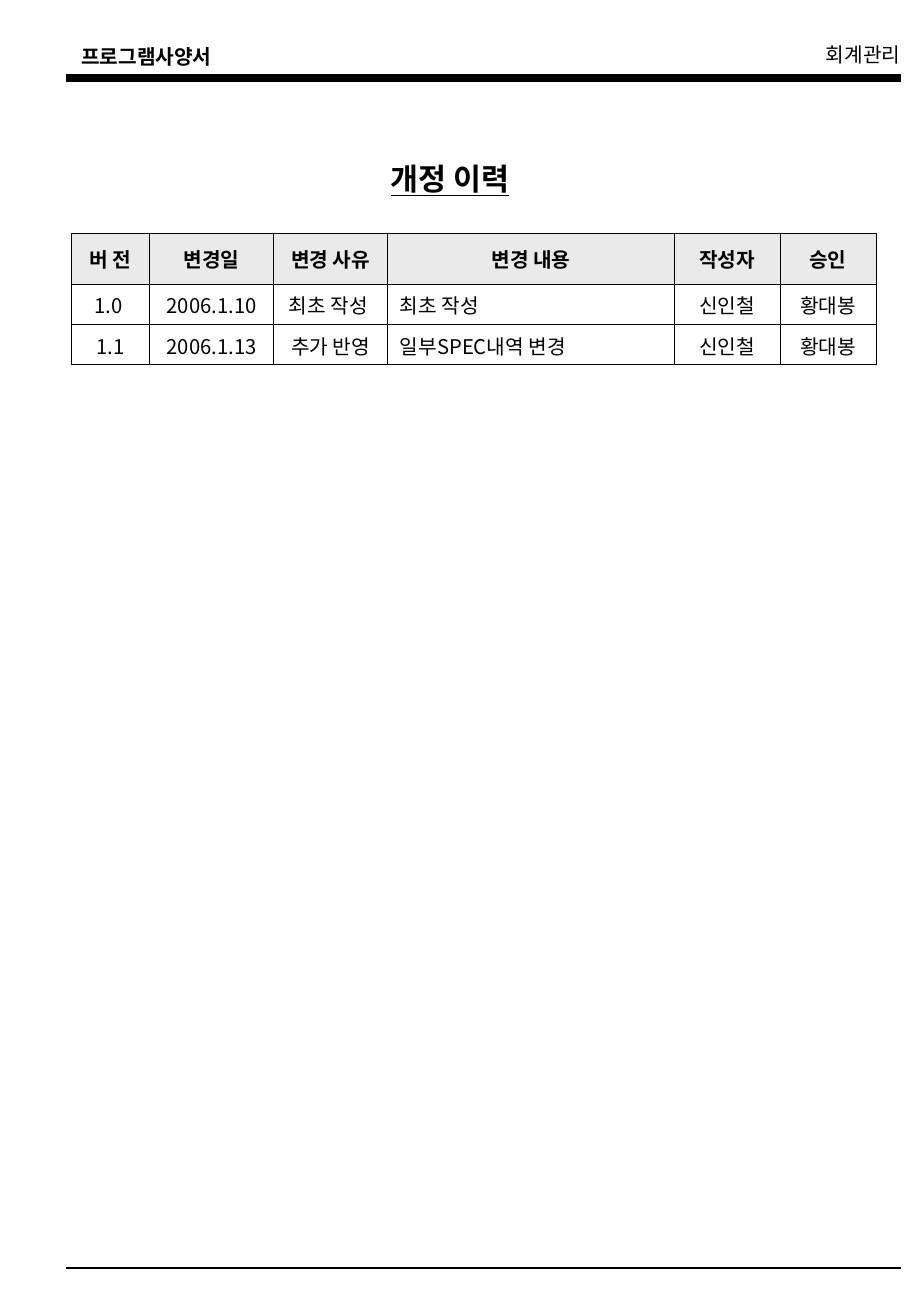
from lxml import etree
from pptx import Presentation
from pptx.dml.color import RGBColor
from pptx.enum.shapes import MSO_CONNECTOR as Connector
from pptx.enum.text import MSO_ANCHOR as Anchor, MSO_AUTO_SIZE as AutoSize, PP_ALIGN as Align
from pptx.oxml.ns import qn
from pptx.util import Cm, Pt

FONT = "Noto Sans CJK KR"
BLACK, HEADER_GRAY = "000000", "EAEAEA"
COLUMN_WIDTHS = [1.63, 2.59, 2.39, 5.99, 2.21, 2.01]
ROW_HEIGHTS = [1.07, 0.84, 0.84]
CONTENT_COLUMN = 3
REVISIONS = [
    ["버 전", "변경일", "변경 사유", "변경 내용", "작성자", "승인"],
    ["1.0 ", "2006.1.10", "최초 작성 ", "최초 작성", "신인철", "황대봉"],
    ["1.1", "2006.1.13", "추가 반영", "일부SPEC내역 변경", "신인철", "황대봉"],
]


def color(value):
    return RGBColor.from_string(value)


def write(frame, text, size=12, bold=False, underline=False, align=Align.LEFT):
    paragraph = frame.paragraphs[0]
    paragraph.alignment = align
    paragraph.space_before = Pt(0)
    run = paragraph.add_run()
    run.text = text
    font = run.font
    font.name, font.size, font.bold, font.underline = FONT, Pt(size), bold, underline
    font.color.rgb = color(BLACK)
    etree.SubElement(run._r.get_or_add_rPr(), qn("a:ea"), typeface=FONT)


def add_borders(cell, width):
    properties = cell._tc.get_or_add_tcPr()
    for index, side in enumerate(("a:lnL", "a:lnR", "a:lnT", "a:lnB")):
        line = etree.Element(qn(side), w=str(Pt(width)))
        fill = etree.SubElement(line, qn("a:solidFill"))
        etree.SubElement(fill, qn("a:srgbClr"), val=BLACK)
        properties.insert(index, line)


class SpecificationPage:
    def __init__(self, presentation):
        self.slide = presentation.slides.add_slide(presentation.slide_layouts[5])

    def title(self, text, left, top, width, height, **style):
        title = self.slide.shapes.title
        title.left, title.top, title.width, title.height = map(Cm, (left, top, width, height))
        frame = title.text_frame
        frame.word_wrap = True
        frame.auto_size = AutoSize.SHAPE_TO_FIT_TEXT
        frame.vertical_anchor = Anchor.TOP
        write(frame, text, **style)

    def label(self, text, left, top, width, height, **style):
        box = self.slide.shapes.add_textbox(*map(Cm, (left, top, width, height)))
        box.text_frame.word_wrap = False
        box.text_frame.auto_size = AutoSize.SHAPE_TO_FIT_TEXT
        write(box.text_frame, text, **style)

    def rule(self, left, right, y, width):
        line = self.slide.shapes.add_connector(
            Connector.STRAIGHT, Cm(left), Cm(y), Cm(right), Cm(y))
        line.line.color.rgb = color(BLACK)
        line.line.width = Pt(width)
        etree.SubElement(line._element.spPr, qn("a:effectLst"))

    def table(self, rows, left, top):
        table = self.slide.shapes.add_table(
            len(rows), len(COLUMN_WIDTHS), Cm(left), Cm(top),
            Cm(sum(COLUMN_WIDTHS)), Cm(sum(ROW_HEIGHTS))).table
        for column, width in zip(table.columns, COLUMN_WIDTHS):
            column.width = Cm(width)
        for row, height in zip(table.rows, ROW_HEIGHTS):
            row.height = Cm(height)
        for row_index, texts in enumerate(rows):
            is_header = row_index == 0
            for column_index, text in enumerate(texts):
                cell = table.cell(row_index, column_index)
                cell.vertical_anchor = Anchor.MIDDLE
                if is_header:
                    cell.fill.solid()
                    cell.fill.fore_color.rgb = color(HEADER_GRAY)
                else:
                    cell.fill.background()
                add_borders(cell, 0.45)
                is_content = column_index == CONTENT_COLUMN and not is_header
                write(cell.text_frame, text, bold=is_header,
                      align=Align.LEFT if is_content else Align.CENTER)


def main():
    presentation = Presentation()
    presentation.slide_width, presentation.slide_height = Cm(19.05), Cm(27.53)
    page = SpecificationPage(presentation)
    page.label("프로그램사양서", 1.45, 0.81, 3.23, 0.76, bold=True)
    page.label("회계관리", 17.02, 0.76, 2.06, 0.76, align=Align.RIGHT)
    for y, width in ((1.63, 4.5), (26.52, 1)):
        page.rule(1.37, 18.85, y, width)
    page.title("개정 이력", 7.92, 3.23, 3.89, 1.02, size=18, bold=True, underline=True)
    page.table(REVISIONS, 1.5, 4.88)
    presentation.save("out.pptx")


if __name__ == "__main__":
    main()
